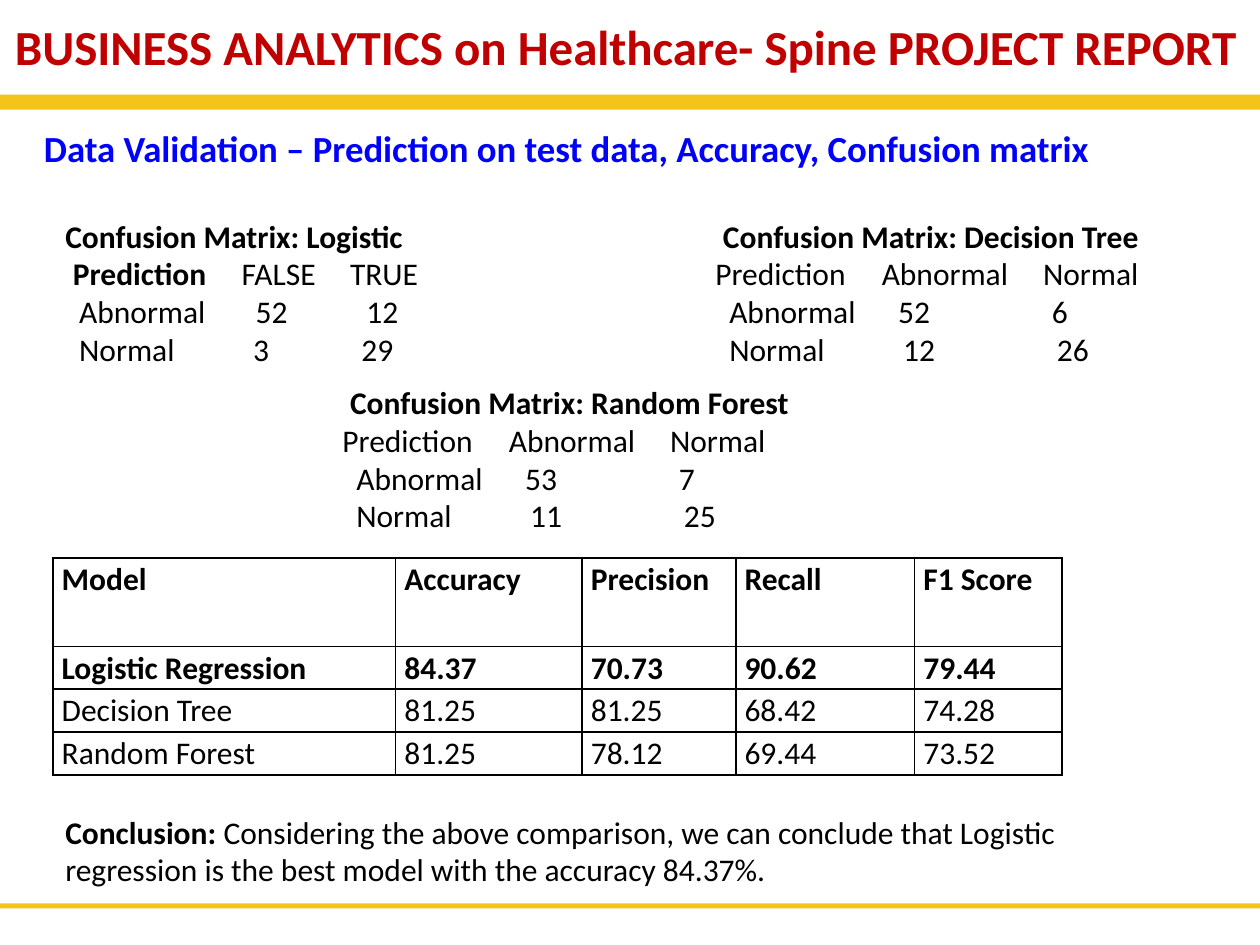
from lxml import etree
from pptx import Presentation, util as u
from pptx.dml.color import RGBColor
from pptx.enum import shapes, text
from pptx.oxml.ns import qn

GOLD = RGBColor(0xF3, 0xC4, 0x19)
BLUE = RGBColor(0, 0, 0xFF)
RED = RGBColor(0xC0, 0, 0)
BLACK = RGBColor(0, 0, 0)


def add_run(p, words, bold=False, size=18, color=BLACK):
    r = p.add_run()
    r.text = words
    r.font.name = "Calibri"
    r.font.size = u.Pt(size)
    r.font.bold = bold
    r.font.color.rgb = color


def add_box(left, top, width, height):
    sp = s.shapes.add_textbox(u.Inches(left), u.Inches(top), u.Inches(width), u.Inches(height))
    sp.text_frame.word_wrap = True
    return sp.text_frame


prs = Presentation()
prs.slide_width, prs.slide_height = u.Inches(10), u.Inches(7.5)
s = prs.slides.add_slide(prs.slide_layouts[5])

for top, height in [(0.75, 0.12), (7.17, 0.04)]:
    sp = s.shapes.add_shape(shapes.MSO_SHAPE.RECTANGLE, 0, u.Inches(top), prs.slide_width, u.Inches(height))
    sp.shadow.inherit = False
    sp.fill.solid()
    sp.fill.fore_color.rgb = GOLD
    sp.line.fill.background()

title = s.shapes.title
title.left, title.top = u.Inches(-0.04), u.Inches(0.08)
title.width, title.height = u.Inches(10.01), u.Inches(0.57)
tf = title.text_frame
tf.word_wrap = False
tf.auto_size = text.MSO_AUTO_SIZE.NONE
tf.vertical_anchor = text.MSO_ANCHOR.TOP
tf.paragraphs[0].alignment = text.PP_ALIGN.CENTER
add_run(tf.paragraphs[0], "BUSINESS ANALYTICS on Healthcare- Spine PROJECT REPORT", True, 28, RED)

tf = add_box(0.25, 0.95, 9.75, 0.45)
add_run(tf.paragraphs[0], "Data Validation – Prediction on test data, Accuracy, Confusion matrix", True, 21, BLUE)

wide_stops = [[0.06], [0, 1.32, 2.6], [0.11, 1.45, 2.67], [0.11, 1.49, 2.71]]
logistic_stops = [[0], [0.06, 1.4, 2.26], [0.11, 1.51, 2.39], [0.11, 1.49, 2.35]]
matrices = [
    (0.42, 1.67, 4.42, "Logistic", ["FALSE", "TRUE"], [52, 12], [3, 29], logistic_stops),
    (5.58, 1.67, 4, "Decision Tree", ["Abnormal", "Normal"], [52, 6], [12, 26], wide_stops),
    (2.62, 2.99, 4, "Random Forest", ["Abnormal", "Normal"], [53, 7], [11, 25], wide_stops),
]
for left, top, width, model, classes, abnormal, normal, stops in matrices:
    tf = add_box(left, top, width, 1.31)
    lines = [["Confusion Matrix: " + model], ["Prediction", *classes],
             ["Abnormal", *abnormal], ["Normal", *normal]]
    for i, (line, places) in enumerate(zip(lines, stops)):
        p = tf.paragraphs[0] if i == 0 else tf.add_paragraph()
        tabs = etree.SubElement(p._p.get_or_add_pPr(), qn("a:tabLst"))
        for place, word in zip(places, line):
            if place:
                etree.SubElement(tabs, qn("a:tab"), pos=str(u.Inches(place)), algn="l")
            bold = i == 0 or (word == "Prediction" and model == "Logistic")
            add_run(p, ("\t" if place else "") + str(word), bold)

rows = [
    ["Model", "Accuracy", "Precision", "Recall", "F1 Score"],
    ["Logistic Regression", "84.37", "70.73", "90.62", "79.44"],
    ["Decision Tree", "81.25", "81.25", "68.42", "74.28"],
    ["Random Forest", "81.25", "78.12", "69.44", "73.52"],
]
widths = [2.72, 1.48, 1.22, 1.42, 1.17]
heights = [0.7] + [0.34] * 3
table = s.shapes.add_table(len(rows), len(widths), u.Inches(0.42), u.Inches(4.43),
                           u.Inches(sum(widths)), u.Inches(sum(heights))).table
for column, width in zip(table.columns, widths):
    column.width = u.Inches(width)
for i, (row, height) in enumerate(zip(rows, heights)):
    table.rows[i].height = u.Inches(height)
    for j, words in enumerate(row):
        cell = table.cell(i, j)
        cell.margin_left = cell.margin_right = u.Inches(0.07)
        cell.margin_top = cell.margin_bottom = 0
        p = cell.text_frame.paragraphs[0]
        p.line_spacing = 1.07
        add_run(p, words, i < 2)
        tcPr = cell._tc.get_or_add_tcPr()
        for side in ("L", "R", "T", "B"):
            ln = etree.SubElement(tcPr, qn("a:ln" + side), w=str(u.Pt(1)))
            fill = etree.SubElement(ln, qn("a:solidFill"))
            etree.SubElement(fill, qn("a:srgbClr"), val=str(BLACK))
        cell.fill.background()

p = add_box(0.42, 6.4, 9, 0.71).paragraphs[0]
add_run(p, "Conclusion: ", True)
add_run(p, "Considering the above comparison, we can conclude that Logistic regression "
           "is the best model with the accuracy 84.37%.")

prs.save("out.pptx")
